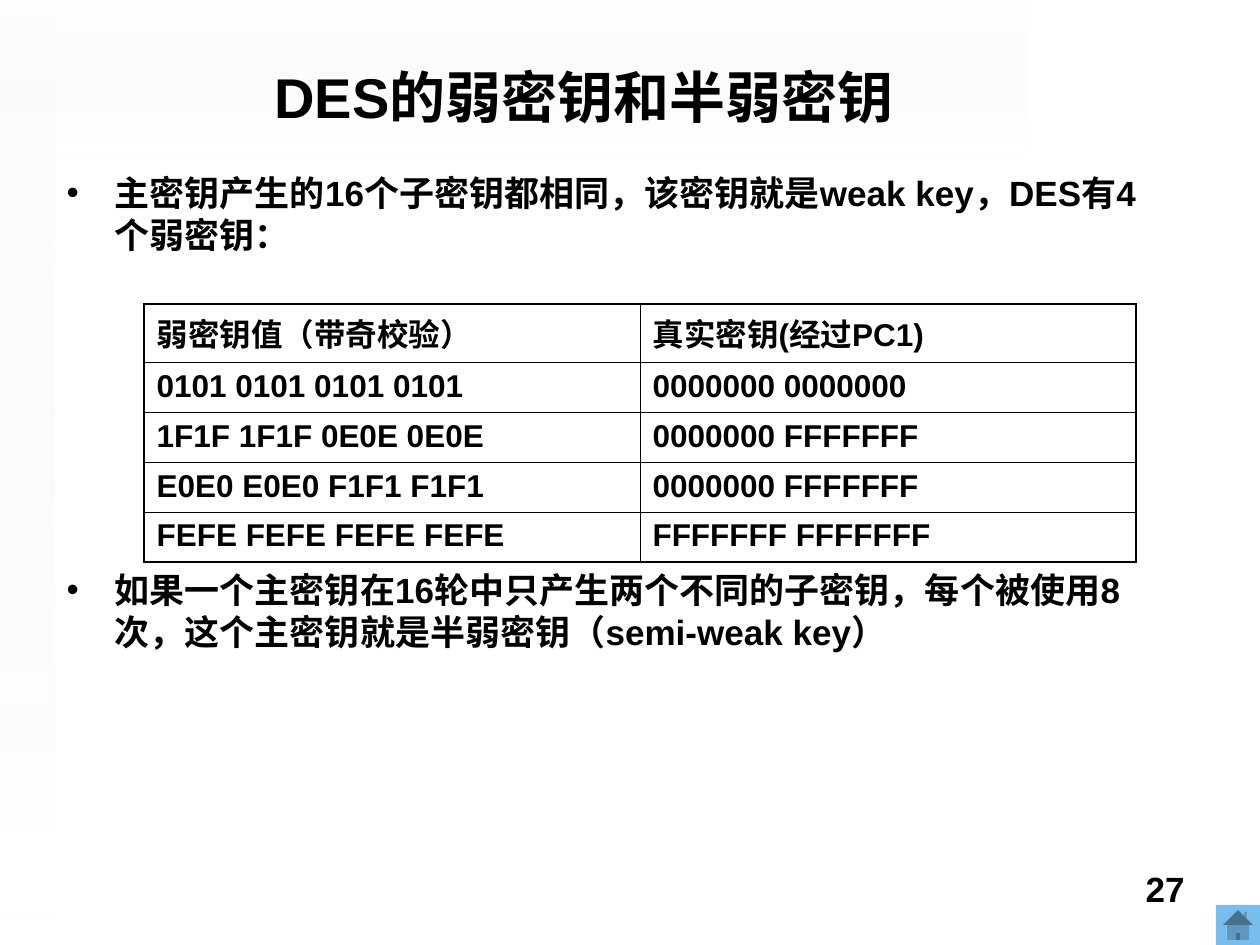
import pptx
import pptx.dml.color
import pptx.enum.shapes
import pptx.enum.text
import pptx.oxml
import pptx.oxml.ns
import pptx.util
from lxml import etree

BLACK = pptx.dml.color.RGBColor(0, 0, 0)
WHITE = pptx.dml.color.RGBColor(255, 255, 255)
GRAY = pptx.dml.color.RGBColor(0xEA, 0xEA, 0xEA)
BLUE = pptx.dml.color.RGBColor(0x77, 0xBD, 0xED)
SHAPES = pptx.enum.shapes.MSO_SHAPE
ALIGN = pptx.enum.text.PP_ALIGN
MIDDLE = pptx.enum.text.MSO_ANCHOR.MIDDLE
qn = pptx.oxml.ns.qn

KEY_ROWS = [
    ("弱密钥值（带奇校验）", "真实密钥(经过PC1)"),
    ("0101 0101 0101 0101", "0000000 0000000"),
    ("1F1F 1F1F 0E0E 0E0E", "0000000 FFFFFFF"),
    ("E0E0 E0E0 F1F1 F1F1", "0000000 FFFFFFF"),
    ("FEFE FEFE FEFE FEFE", "FFFFFFF FFFFFFF"),
]
POINTS = [
    "主密钥产生的16个子密钥都相同，该密钥就是weak key，DES有4个弱密钥：",
    "如果一个主密钥在16轮中只产生两个不同的子密钥，每个被使用8次，这个主密钥就是半弱密钥（semi-weak key）",
]


def px(length):
    return pptx.util.Emu(round(length * 914400 / 126))


class SlideBuilder:
    font = "Arial"
    outer_line = 1.08
    inner_line = 0.45

    def __init__(self, page):
        self.page = page

    def set_text(self, para, text, size, align=ALIGN.LEFT):
        para.text = text
        para.alignment = align
        for span in para.runs:
            span.font.name = self.font
            span.font.size = pptx.util.Pt(size)
            span.font.bold = True
            span.font.color.rgb = BLACK

    def place(self, box, left, top, width, height):
        box.left, box.top = px(left), px(top)
        box.width, box.height = px(width), px(height)

    def shape(self, kind, left, top, width, height):
        box = self.page.shapes.add_shape(kind, px(left), px(top), px(width), px(height))
        box.shadow.inherit = False
        box.line.fill.background()
        self.page.shapes.title.element.addprevious(box.element)
        return box

    def band(self, left, top, width, height, rotation, angle, opacity):
        box = self.shape(SHAPES.RECTANGLE, left, top, width, height)
        box.rotation = rotation
        box.fill.gradient()
        box.fill.gradient_angle = angle
        for stop, color in zip(box.fill.gradient_stops, (GRAY, WHITE)):
            stop.color.rgb = color
        for node, alpha in zip(box.element.spPr.iter(qn("a:srgbClr")), (0, opacity)):
            etree.SubElement(node, qn("a:alpha"), val=str(alpha * 1000))

    def home_button(self, left, top, width, height):
        box = self.shape(SHAPES.ACTION_BUTTON_HOME, left, top, width, height)
        box.fill.solid()
        box.fill.fore_color.rgb = BLUE

    def page_number(self, text, left, top, width, height):
        box = self.page.shapes.add_textbox(px(left), px(top), px(width), px(height))
        box.text_frame.word_wrap = True
        self.set_text(box.text_frame.paragraphs[0], text, 20, ALIGN.RIGHT)
        self.page.shapes.title.element.addprevious(box.element)

    def title(self, text, left, top, width, height):
        box = self.page.shapes.title
        self.place(box, left, top, width, height)
        box.text_frame.vertical_anchor = MIDDLE
        self.set_text(box.text_frame.paragraphs[0], text, 32, ALIGN.CENTER)

    def bullets(self, texts, gap, left, top, width, height):
        box = self.page.placeholders[1]
        self.place(box, left, top, width, height)
        frame = box.text_frame
        frame.auto_size = pptx.enum.text.MSO_AUTO_SIZE.NONE
        frame.text = "\n".join(texts)
        for index, (para, text) in enumerate(zip(frame.paragraphs, texts)):
            self.set_text(para, text, 20)
            para.line_spacing = pptx.util.Pt(24)
            para.space_before = pptx.util.Pt(gap if index else 0)
            properties = para._p.get_or_add_pPr()
            properties.set("marL", str(px(48)))
            properties.set("indent", str(px(-48)))
            etree.SubElement(properties, qn("a:buFont"), typeface=self.font)
            etree.SubElement(properties, qn("a:buChar"), char="•")

    def border(self, cell, side, width):
        line = etree.SubElement(cell._tc.get_or_add_tcPr(), qn("a:ln" + side))
        line.set("w", str(pptx.util.Pt(width)))
        fill = etree.SubElement(line, qn("a:solidFill"))
        etree.SubElement(fill, qn("a:srgbClr"), val=str(BLACK))

    def table(self, rows, left, top, width, row_height):
        last_row, last_column = len(rows) - 1, len(rows[0]) - 1
        grid = self.page.shapes.add_table(
            len(rows), len(rows[0]), px(left), px(top), px(width), px(row_height * len(rows))
        ).table
        for r, row in enumerate(rows):
            for c, text in enumerate(row):
                cell = grid.cell(r, c)
                self.set_text(cell.text_frame.paragraphs[0], text, 18)
                edges = {"L": c == 0, "R": c == last_column, "T": r == 0, "B": r == last_row}
                for side, outer in edges.items():
                    self.border(cell, side, self.outer_line if outer else self.inner_line)
                cell.fill.solid()
                cell.fill.fore_color.rgb = WHITE


def main():
    deck = pptx.Presentation()
    deck.slide_width, deck.slide_height = px(1260), px(945)
    builder = SlideBuilder(deck.slides.add_slide(deck.slide_layouts[1]))
    builder.band(436, -436, 155, 1027, 90, 0, 49)
    builder.band(0, 0, 54, 915, 180, 90, 65)
    builder.home_button(1216, 905, 44, 40)
    builder.page_number("27", 903, 861, 294, 66)
    builder.title("DES的弱密钥和半弱密钥", 34, 35, 1101, 122)
    builder.bullets(POINTS, 179, 54, 165, 1111, 674)
    builder.table(KEY_ROWS, 144, 304, 992, 50)
    deck.save("out.pptx")


if __name__ == "__main__":
    main()
